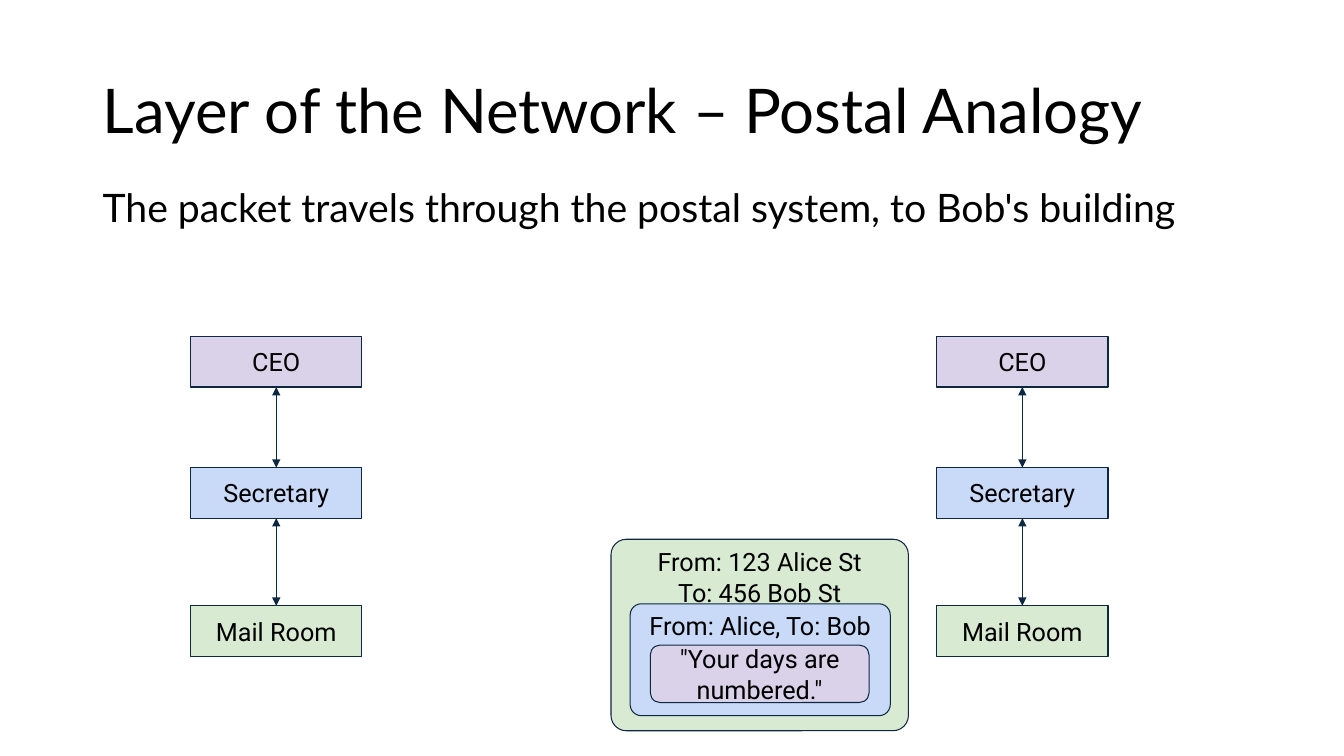
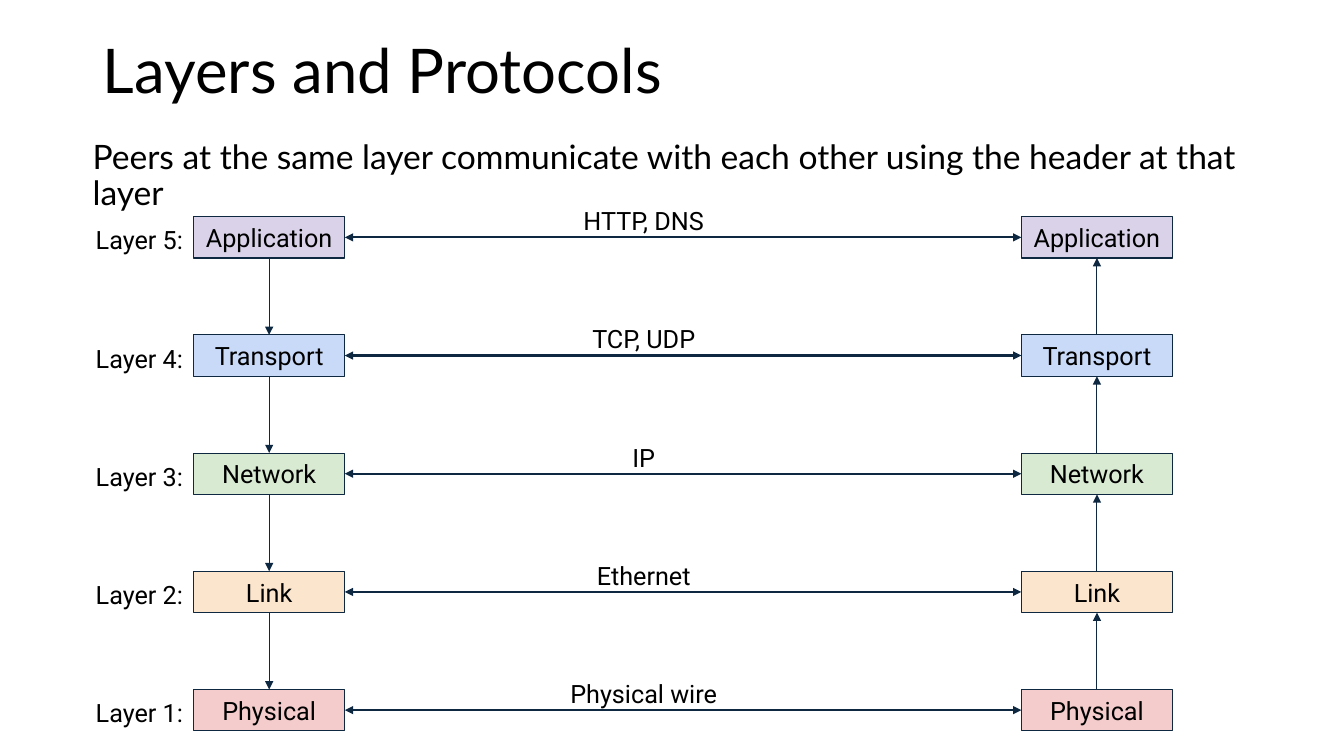
from lxml import etree
from pptx import Presentation
from pptx import util as u
from pptx.dml.color import RGBColor
from pptx.enum import shapes, text
from pptx.oxml import ns

INK, NAVY = "000000", "0E2841"
PURPLE, BLUE, GREEN, ORANGE, RED = "D9D2E9", "C9DAF8", "D9EAD3", "FCE5CD", "F4CCCC"
TOP, LEFT, BOTTOM, RIGHT = range(4)
CENTER, MIDDLE = text.PP_ALIGN.CENTER, text.MSO_ANCHOR.MIDDLE


def rgb(value):
    """Return the colour for a hex string."""
    return RGBColor.from_string(value)


def apply(obj, values):
    """Set attributes from a dict."""
    for name, value in values.items():
        setattr(obj, name, value)


class Deck:
    """Shared style and the current slide."""

    title_font = {"name": "Lato", "size": u.Pt(44)}
    label_font = {"name": "Roboto", "size": u.Pt(18)}

    def __init__(self):
        """Start an empty widescreen deck."""
        self.prs = Presentation()
        apply(self.prs, {"slide_width": u.Inches(13.33), "slide_height": u.Inches(7.5)})
        self.s = None

    def set_text(self, sp, lines, font, para, inset=0.1, anchor=text.MSO_ANCHOR.TOP):
        """Fill a shape with formatted lines of text."""
        tf = sp.text_frame
        sides = ("margin_left", "margin_right", "margin_top", "margin_bottom")
        apply(tf, {"text": lines, "word_wrap": True, "vertical_anchor": anchor,
                   "auto_size": text.MSO_AUTO_SIZE.NONE,
                   **{side: u.Inches(inset) for side in sides}})
        for p in tf.paragraphs:
            apply(p, para)
            for r in p.runs:
                apply(r.font, font)
                r.font.color.rgb = rgb(INK)

    def slide(self, title, top):
        """Add a slide with its title."""
        self.s = self.prs.slides.add_slide(self.prs.slide_layouts[5])
        sp = self.s.shapes.title
        apply(sp, {"left": u.Inches(0.92), "top": u.Inches(top),
                   "width": u.Inches(11.5), "height": u.Inches(1.45)})
        self.set_text(sp, title, self.title_font,
                      {"alignment": text.PP_ALIGN.LEFT, "line_spacing": 0.9}, anchor=MIDDLE)

    def body(self, words, at, size):
        """Add the sentence below the title."""
        sp = self.s.shapes.add_textbox(*map(u.Inches, at))
        self.set_text(sp, words, {"name": "Lato", "size": u.Pt(size)}, {"line_spacing": 0.9})

    def label(self, words, at, align):
        """Add a small caption."""
        sp = self.s.shapes.add_textbox(*map(u.Inches, at))
        self.set_text(sp, words, self.label_font, {"alignment": align}, inset=0.03)

    def box(self, words, at, fill, corner=None, inset=0.1, anchor=MIDDLE):
        """Add an outlined box, rounded when a corner is given."""
        kind = shapes.MSO_SHAPE
        sp = self.s.shapes.add_shape(kind.ROUNDED_RECTANGLE if corner else kind.RECTANGLE,
                                     *map(u.Inches, at))
        if corner:
            sp.adjustments[0] = corner
        sp.shadow.inherit = False
        sp.fill.solid()
        sp.fill.fore_color.rgb = rgb(fill)
        sp.line.color.rgb = rgb(NAVY)
        sp.line.width = u.Pt(0.75)
        self.set_text(sp, words, self.label_font, {"alignment": CENTER}, inset, anchor)
        return sp

    def arrow(self, start, start_side, end, end_side, ends=("headEnd", "tailEnd"), width=0.75):
        """Connect two boxes with arrowheads at the named ends."""
        c = self.s.shapes.add_connector(shapes.MSO_CONNECTOR.STRAIGHT, 0, 0, 0, 0)
        c.begin_connect(start, start_side)
        c.end_connect(end, end_side)
        c.line.color.rgb = rgb(NAVY)
        c.line.width = u.Pt(width)
        sp_pr = c._element.spPr
        for name in ends:
            etree.SubElement(sp_pr.find(ns.qn("a:ln")), ns.qn("a:" + name), type="triangle")
        etree.SubElement(sp_pr, ns.qn("a:effectLst"))

    def stack(self, left, width, height, rows, ends):
        """Add a column of boxes joined by arrows and return the boxes."""
        boxes = [self.box(name, (left, top, width, height), fill) for name, fill, top in rows]
        for upper, lower in zip(boxes, boxes[1:]):
            self.arrow(upper, BOTTOM, lower, TOP, ends)
        return boxes


def postal_slide(deck):
    """Build the postal analogy."""
    deck.slide("Layer of the Network – Postal Analogy", 0.4)
    deck.body("The packet travels through the postal system, to Bob's building",
              (0.92, 1.77, 11.18, 1.19), 28)
    offices = [("CEO", PURPLE, 3.34), ("Secretary", BLUE, 4.64), ("Mail Room", GREEN, 6.01)]
    for left in (1.89, 9.29):
        deck.stack(left, 1.7, 0.5, offices, ("headEnd", "tailEnd"))
    envelope = {"inset": 0.03, "anchor": text.MSO_ANCHOR.TOP}
    deck.box("From: 123 Alice St\nTo: 456 Bob St", (6.06, 5.35, 2.95, 1.9), GREEN, 0.08, **envelope)
    deck.box("From: Alice, To: Bob", (6.25, 5.99, 2.58, 1.11), BLUE, 0.1, **envelope)
    deck.box('"Your days are numbered."', (6.45, 6.4, 2.17, 0.57), PURPLE, 0.17)


def protocol_slide(deck):
    """Build the five layers and their protocols."""
    deck.slide("Layers and Protocols", 0)
    deck.body("Peers at the same layer communicate with each other using the header at that layer",
              (0.82, 1.29, 12.21, 0.81), 24)
    layers = [("Application", PURPLE, "HTTP, DNS"), ("Transport", BLUE, "TCP, UDP"),
              ("Network", GREEN, "IP"), ("Link", ORANGE, "Ethernet"),
              ("Physical", RED, "Physical wire")]
    first, last = 2.15, 6.84
    pitch = (last - first) / (len(layers) - 1)
    rows = [(name, fill, first + i * pitch) for i, (name, fill, _) in enumerate(layers)]
    senders = deck.stack(1.92, 1.5, 0.41, rows, ["tailEnd"])
    receivers = deck.stack(10.13, 1.5, 0.41, rows, ["headEnd"])
    for i, (_, _, protocol) in enumerate(layers):
        top = rows[i][2]
        deck.arrow(receivers[i], LEFT, senders[i], RIGHT, width=1.5)
        deck.label(protocol, (5.25, top - 0.14, 2.27, 0.3), CENTER)
        deck.label(f"Layer {len(layers) - i}:", (0.92, top + 0.05, 1, 0.3), text.PP_ALIGN.LEFT)


def main():
    """Build and save the deck."""
    deck = Deck()
    postal_slide(deck)
    protocol_slide(deck)
    deck.prs.save("out.pptx")


if __name__ == "__main__":
    main()
